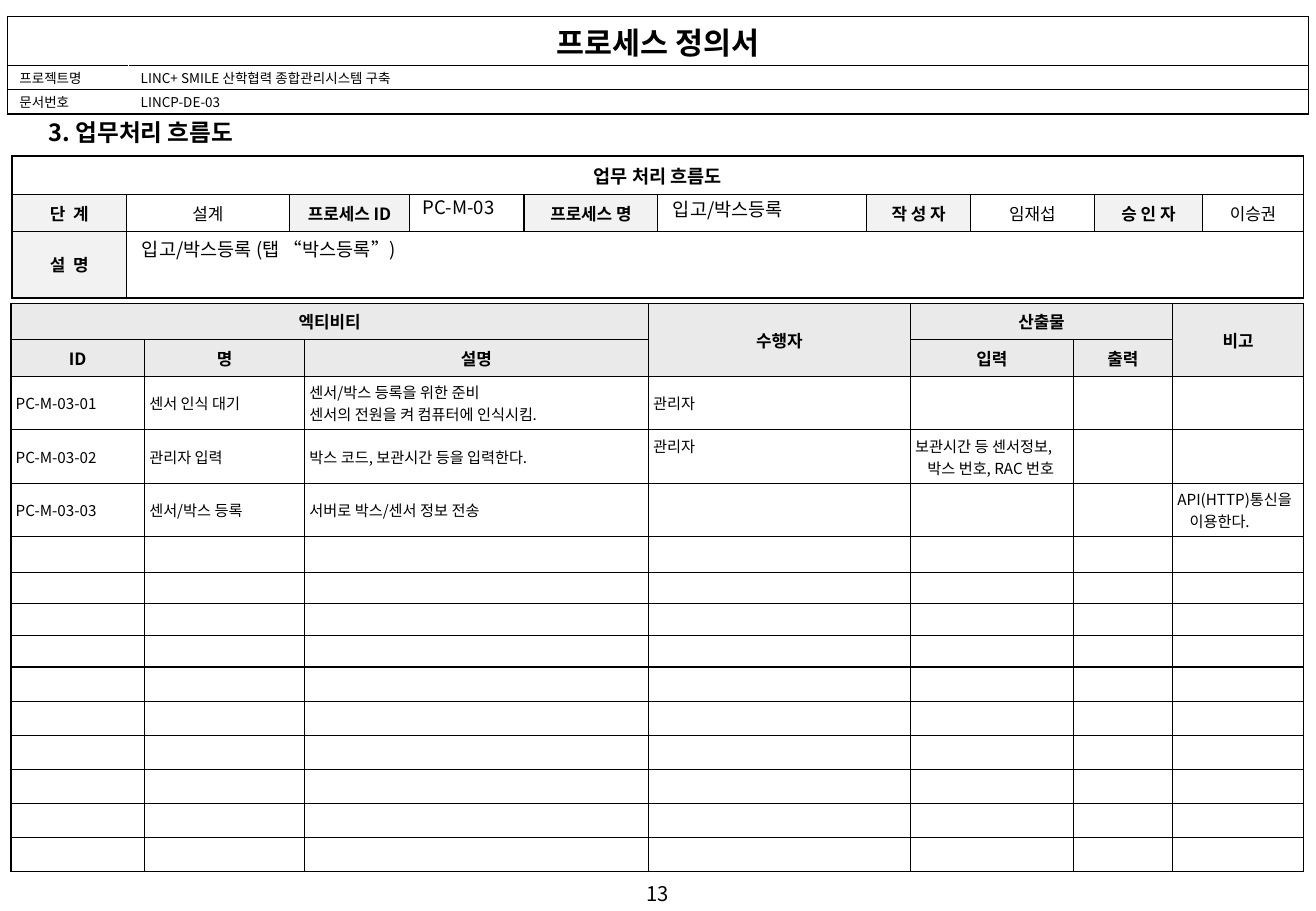
from pptx import Presentation
from pptx.dml.color import RGBColor
from pptx.enum.text import MSO_ANCHOR as Anchor, PP_ALIGN as Align
from pptx.oxml import parse_xml
from pptx.oxml.ns import nsdecls, qn
from pptx.util import Emu, Inches, Pt

WIDTH, HEIGHT = Inches(10.83), Inches(7.5)
FONT = "Noto Sans CJK KR"
BLACK, WHITE, LABEL_GRAY, HEAD_GRAY = "000000", "FFFFFF", "F2F2F2", "EAEAEA"
SIDES = "LRTB"


def color(code):
    return RGBColor.from_string(code)


def across(percent):
    return Emu(round(WIDTH * percent / 100))


def down(percent):
    return Emu(round(HEIGHT * percent / 100))


def style_para(para, size, bold=False, align=Align.LEFT):
    para.alignment = align
    font = para.font
    font.size, font.bold, font.name = Pt(size), bold, FONT
    font.color.rgb = color(BLACK)
    latin = para._p.pPr.find(qn("a:defRPr")).find(qn("a:latin"))
    latin.addnext(parse_xml(f'<a:ea {nsdecls("a")} typeface="{FONT}"/>'))


def add_text(page, text, frame, size, bold=False, align=Align.LEFT):
    left, top, width, height = frame
    box = page.shapes.add_textbox(across(left), down(top), across(width), down(height))
    box.text_frame.word_wrap = True
    para = box.text_frame.paragraphs[0]
    para.text = text
    style_para(para, size, bold, align)


def add_grid(page, frame, columns, rows):
    left, top, width, height = frame
    shape = page.shapes.add_table(len(rows), len(columns), across(left), down(top),
                                  across(width), down(height))
    table = shape.table
    table.first_row = table.horz_banding = False
    for column, share in zip(table.columns, columns):
        column.width = Emu(round(across(width) * share / sum(columns)))
    for row, share in zip(table.rows, rows):
        row.height = Emu(round(down(height) * share / sum(rows)))
    return table


def set_borders(cell, widths, colors):
    props = cell._tc.get_or_add_tcPr()
    for side in SIDES:
        props.append(parse_xml(
            f'<a:ln{side} {nsdecls("a")} w="{Pt(widths[side])}"><a:solidFill>'
            f'<a:srgbClr val="{colors[side]}"/></a:solidFill></a:ln{side}>'))


def border_grid(table, line, thick_sides="", white_inside=()):
    last_row, last_column = len(table.rows) - 1, len(table.columns) - 1
    for r in range(last_row + 1):
        for c in range(last_column + 1):
            edges = {"L": c == 0, "R": c == last_column, "T": r == 0, "B": r == last_row}
            widths = {s: 1 if edges[s] and s in thick_sides else line for s in SIDES}
            colors = {s: WHITE if r in white_inside and s in "LR" and not edges[s] else BLACK
                      for s in SIDES}
            set_borders(table.cell(r, c), widths, colors)


def fill_cell(cell, text, size, bold=False, align=Align.LEFT, fill=WHITE,
              inset=(0.1, 0.05), anchor=Anchor.MIDDLE, hanging=False):
    cell.fill.solid()
    cell.fill.fore_color.rgb = color(fill)
    cell.margin_left = cell.margin_right = Inches(inset[0])
    cell.margin_top = cell.margin_bottom = Inches(inset[1])
    cell.vertical_anchor = anchor
    cell.text_frame.text = text
    for para in cell.text_frame.paragraphs:
        style_para(para, size, bold, align)
        if hanging:
            para._p.pPr.set("marL", str(Inches(0.1)))
            para._p.pPr.set("indent", str(-Inches(0.1)))


def add_document_header(page):
    table = add_grid(page, (0.55, 1.8, 98.9, 10.75), (1, 9.72), (0.4, 0.2, 0.2))
    border_grid(table, 1, white_inside=(1, 2))
    table.cell(0, 0).merge(table.cell(0, 1))
    fill_cell(table.cell(0, 0), "프로세스 정의서", 18, True, Align.CENTER, inset=(0.1, 0.02))
    details = (("프로젝트명", "LINC+ SMILE 산학협력 종합관리시스템 구축"),
               ("문서번호", "LINCP-DE-03"))
    for r, pair in enumerate(details, 1):
        for c, text in enumerate(pair):
            fill_cell(table.cell(r, c), text, 8, inset=(0.1, 0.02))


def add_process_summary(page):
    columns = (0.94, 1.34, 0.99, 0.94, 1.1, 1.72, 0.85, 1.02, 0.89, 0.83)
    table = add_grid(page, (0.92, 17.1, 98.15, 15.6), columns, (0.32, 0.3, 0.55))
    border_grid(table, 0.75, SIDES)
    table.cell(0, 0).merge(table.cell(0, 9))
    table.cell(2, 1).merge(table.cell(2, 9))
    fill_cell(table.cell(0, 0), "업무 처리 흐름도", 11, True, Align.CENTER)
    fields = ("단  계", "설계", "프로세스 ID", "", "프로세스 명", "",
              "작 성 자", "임재섭", "승 인 자", "이승권")
    for r, texts in ((1, fields), (2, ("설  명", ""))):
        for c, text in enumerate(texts):
            is_label = c % 2 == 0
            fill_cell(table.cell(r, c), text, 10, is_label, Align.CENTER,
                      LABEL_GRAY if is_label else WHITE)


def add_activities(page):
    columns = (1.1, 1.32, 2.83, 2.16, 1.34, 0.82, 1.08)
    rows = [0.3] * 2 + [0.44] * 3 + [0.29] + [0.26] * 3 + [0.28] * 6
    table = add_grid(page, (0.83, 33.3, 98.25, 62.4), columns, rows)
    border_grid(table, 0.75, "L")
    for start, end in (((0, 0), (0, 2)), ((0, 3), (1, 3)), ((0, 4), (0, 5)), ((0, 6), (1, 6))):
        table.cell(*start).merge(table.cell(*end))
    heads = (("엑티비티", "", "", "수행자", "산출물", "", "비고"),
             ("ID", "명", "설명", "", "입력", "출력", ""))
    for r, texts in enumerate(heads):
        for c, text in enumerate(texts):
            fill_cell(table.cell(r, c), text, 10, True, Align.CENTER, HEAD_GRAY)
    activities = [
        ("PC-M-03-01", "센서 인식 대기",
         "센서/박스 등록을 위한 준비\n센서의 전원을 켜 컴퓨터에 인식시킴.", "관리자", "", "", ""),
        ("PC-M-03-02", "관리자 입력", "박스 코드, 보관시간 등을 입력한다.", "관리자",
         "보관시간 등 센서정보, 박스 번호, RAC 번호", "", ""),
        ("PC-M-03-03", "센서/박스 등록", "서버로 박스/센서 정보 전송", "", "", "",
         "API(HTTP)통신을 이용한다."),
    ]
    blanks = [("",) * len(columns)] * (len(rows) - len(heads) - len(activities))
    for r, texts in enumerate(activities + blanks, len(heads)):
        for c, text in enumerate(texts):
            fill_cell(table.cell(r, c), text, 9, inset=(0.04, 0.04),
                      anchor=Anchor.TOP if (r, c) == (3, 3) else Anchor.MIDDLE,
                      hanging=bool(text) and c >= 4)


def main():
    deck = Presentation()
    deck.slide_width, deck.slide_height = WIDTH, HEIGHT
    page = deck.slides.add_slide(deck.slide_layouts[6])
    add_text(page, "13", (0, 96.13, 100, 4), 12, align=Align.CENTER)
    add_document_header(page)
    add_process_summary(page)
    add_activities(page)
    add_text(page, "3. 업무처리 흐름도", (2.77, 12.27, 18.1, 4.53), 14, True)
    process_texts = (
        ("PC-M-03", (31.21, 20.8, 8.59, 3.87)),
        ("입고/박스등록", (50.23, 21.07, 15.79, 3.87)),
        ("입고/박스등록 (탭 “박스등록”)", (9.88, 25.47, 88, 3.87)),
    )
    for text, frame in process_texts:
        add_text(page, text, frame, 11)
    deck.save("out.pptx")


main()
